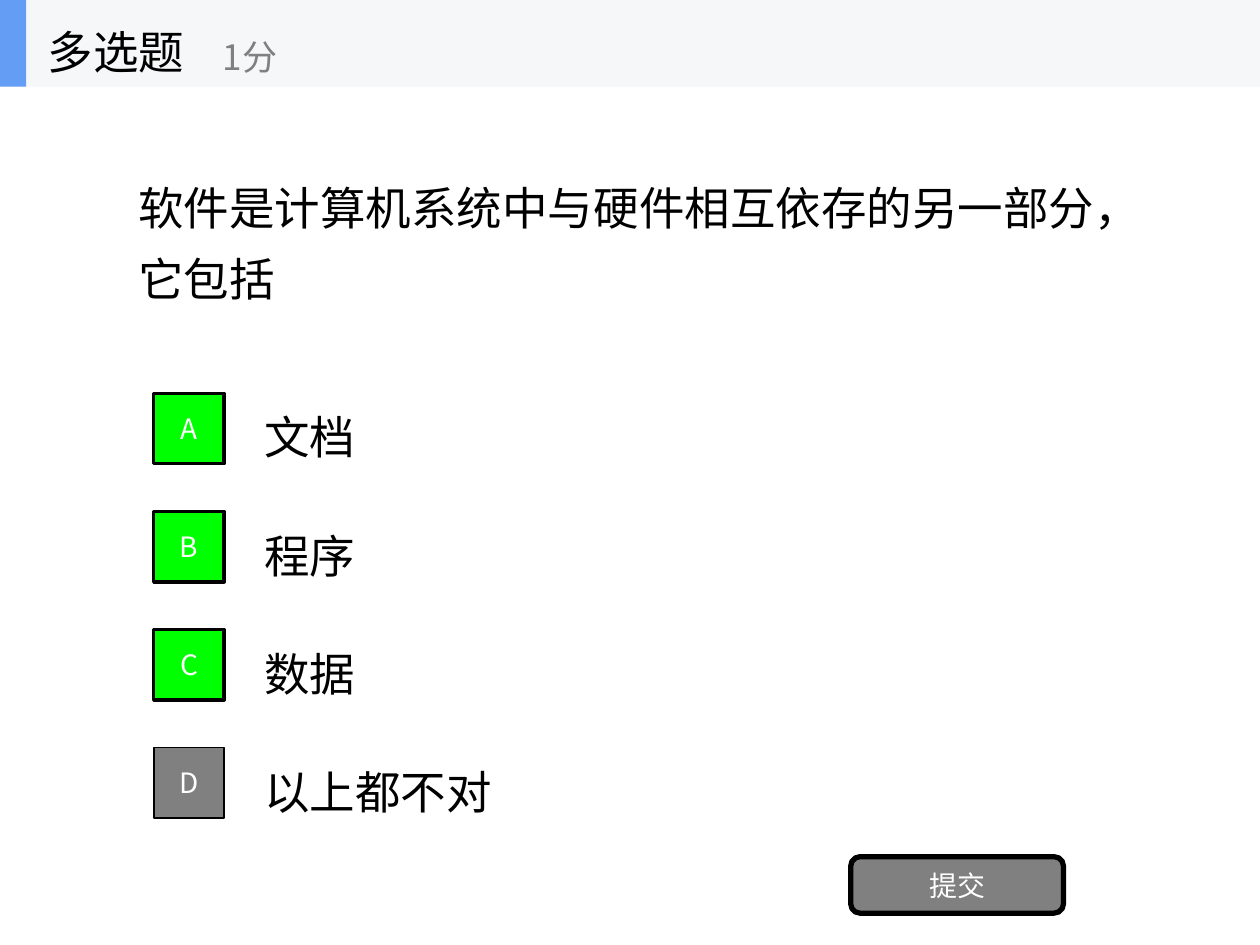
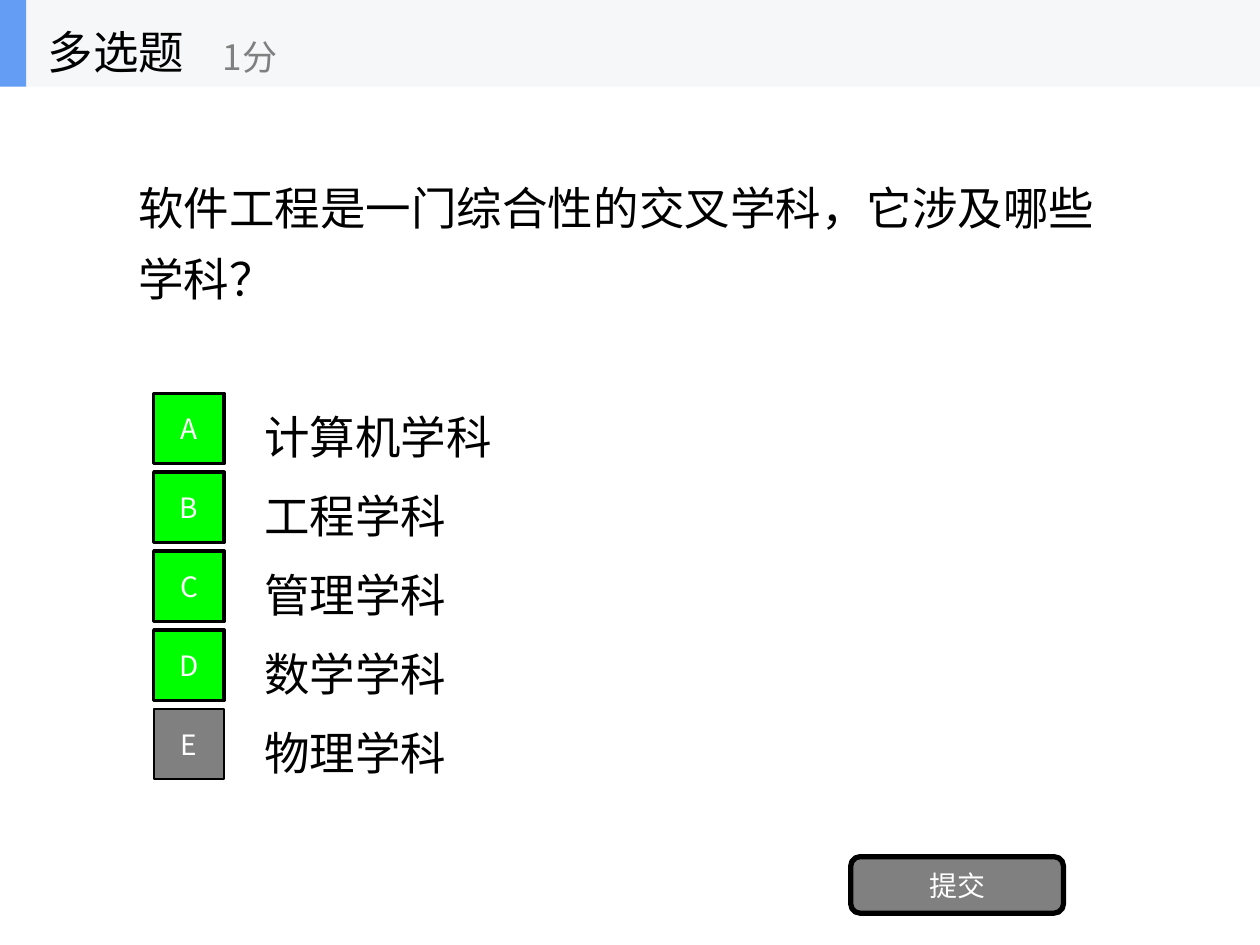
from dataclasses import dataclass

from lxml.etree import SubElement
from pptx import Presentation
from pptx.dml.color import RGBColor
from pptx.enum.shapes import MSO_SHAPE
from pptx.enum.text import MSO_ANCHOR, PP_ALIGN
from pptx.oxml.ns import qn
from pptx.util import Cm, Pt


@dataclass(frozen=True)
class Theme:
    font: str = "Noto Sans CJK SC"
    black: str = "000000"
    white: str = "FFFFFF"
    grey: str = "808080"
    correct: str = "00FF00"
    band: str = "F6F7F8"
    accent: str = "639EF4"
    body_size: int = 26
    score_size: int = 20
    button_size: int = 16


theme = Theme()


def write(sp, text, size, color, align=PP_ALIGN.LEFT, spacing=None, wrap=True):
    tf = sp.text_frame
    tf.word_wrap = wrap
    tf.vertical_anchor = MSO_ANCHOR.MIDDLE
    p = tf.paragraphs[0]
    p.alignment = align
    p.line_spacing = spacing
    r = p.add_run()
    r.text = text
    r.font.size = Pt(size)
    r.font.name = theme.font
    r.font.color.rgb = RGBColor.from_string(color)
    # Chinese characters take their typeface from the East Asian font
    SubElement(r.font._element, qn("a:ea"), typeface=theme.font)


def add_box(shapes, kind, left, top, width, height, fill, line_width=0):
    """Add a flat filled shape, outlined in black when line_width is given."""
    sp = shapes.add_shape(kind, Cm(left), Cm(top), Cm(width), Cm(height))
    sp.shadow.inherit = False
    sp.fill.solid()
    sp.fill.fore_color.rgb = RGBColor.from_string(fill)
    if line_width:
        sp.line.color.rgb = RGBColor.from_string(theme.black)
        sp.line.width = Pt(line_width)
    else:
        sp.line.fill.background()
    return sp


# Question, distance between options, options as (text, is correct)
questions = [
    ("软件是计算机系统中与硬件相互依存的另一部分，它包括", 2.38,
     [("文档", True), ("程序", True), ("数据", True), ("以上都不对", False)]),
    ("软件工程是一门综合性的交叉学科，它涉及哪些学科？", 1.59,
     [("计算机学科", True), ("工程学科", True), ("管理学科", True),
      ("数学学科", True), ("物理学科", False)]),
]
header_height = 1.75
options_top = 7.75
option_height = 1.78
badge_size = 1.42

prs = Presentation()
prs.slide_width, prs.slide_height = Cm(25.4), Cm(19.05)

for question, pitch, options in questions:
    s = prs.slides.add_slide(prs.slide_layouts[6])

    sp = s.shapes.add_textbox(Cm(2.54), Cm(header_height), Cm(20.32), Cm(5.95))
    write(sp, question, theme.body_size, theme.black, spacing=1.3)

    for i, (option, correct) in enumerate(options):
        top = options_top + i * pitch
        sp = s.shapes.add_textbox(Cm(5.08), Cm(top), Cm(17.78), Cm(option_height))
        write(sp, option, theme.body_size, theme.black, spacing=1.3, wrap=False)

        badge = add_box(s.shapes, MSO_SHAPE.RECTANGLE, 3.1,
                        top + (option_height - badge_size) / 2, badge_size, badge_size,
                        theme.correct if correct else theme.grey, 2 if correct else 1)
        write(badge, "ABCDE"[i], theme.button_size, theme.white, PP_ALIGN.CENTER)

    submit = add_box(s.shapes, MSO_SHAPE.ROUNDED_RECTANGLE,
                     17.15, 17.27, 4.29, 1.14, theme.grey, 3)
    write(submit, "提交", theme.button_size, theme.white, PP_ALIGN.CENTER)

    header = s.shapes.add_group_shape().shapes
    add_box(header, MSO_SHAPE.RECTANGLE, 0, 0, 25.4, header_height, theme.band)
    add_box(header, MSO_SHAPE.RECTANGLE, 0, 0, 0.53, header_height, theme.accent)
    sp = header.add_textbox(Cm(0.71), 0, Cm(5.28), Cm(header_height))
    write(sp, "多选题", theme.body_size, theme.black, spacing=1.3, wrap=False)
    sp = header.add_textbox(Cm(4.24), Cm(0.3), Cm(6.35), Cm(1.42))
    write(sp, "1分", theme.score_size, theme.grey, spacing=1.3, wrap=False)

prs.save("out.pptx")
